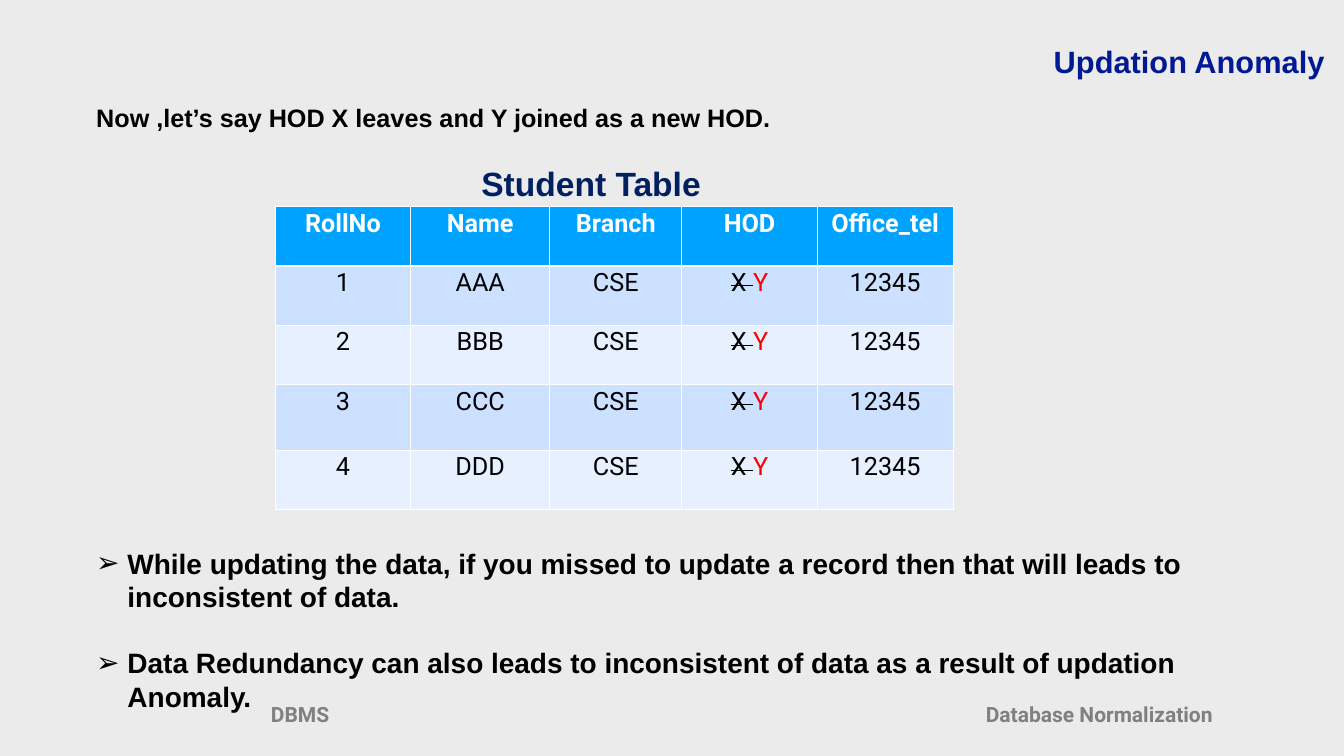
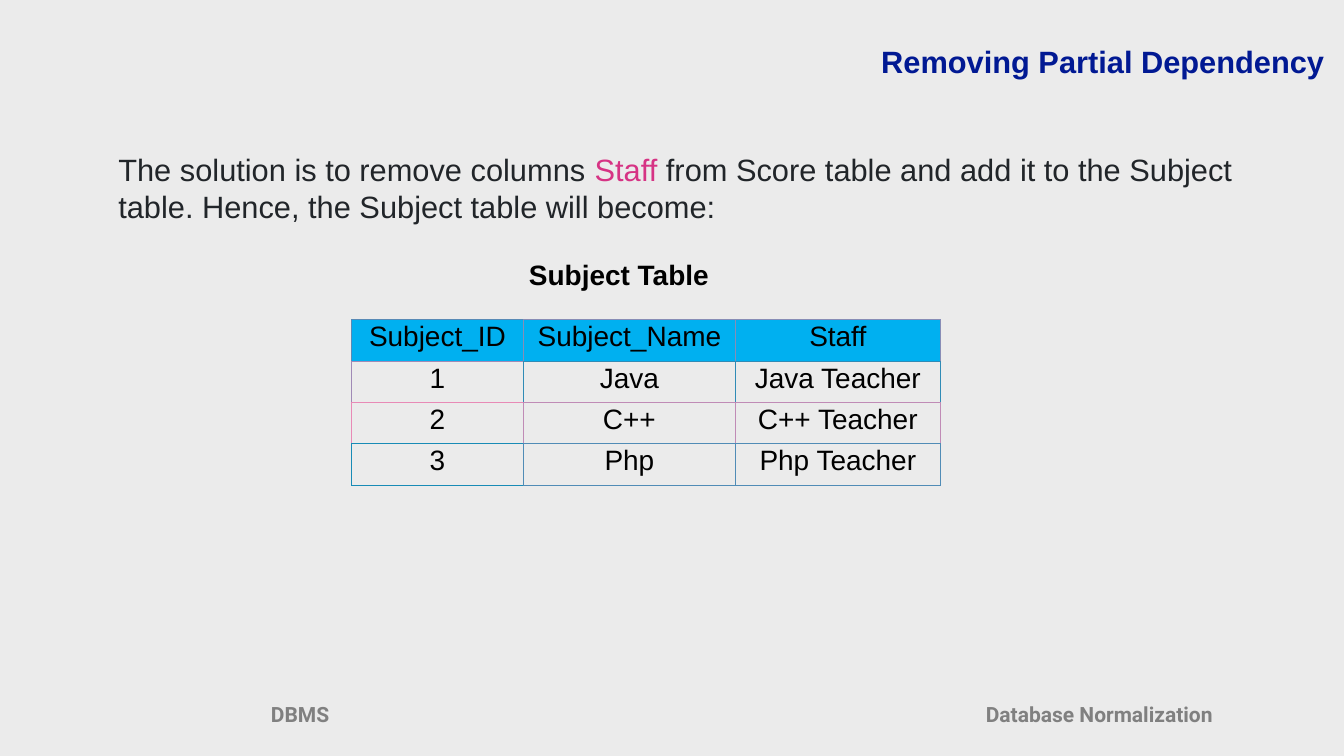
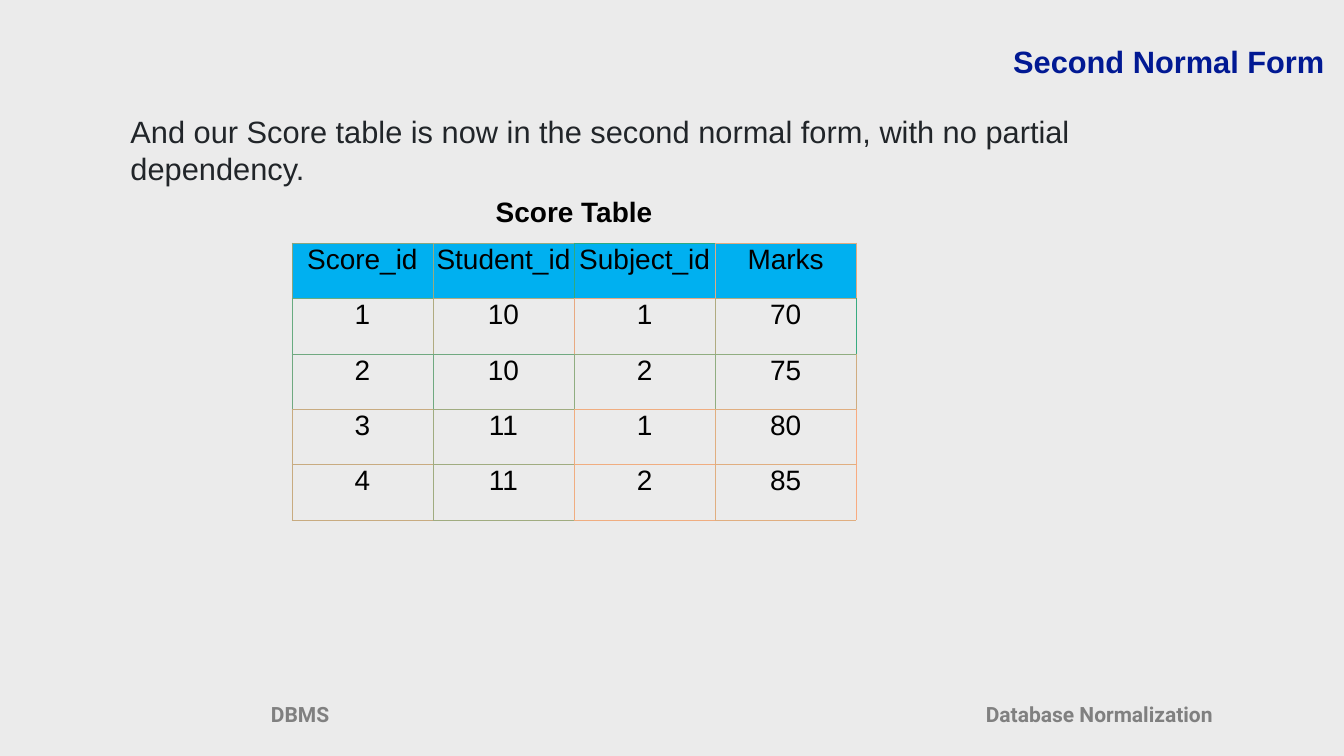
from lxml import etree
from pptx import Presentation
from pptx.dml.color import RGBColor
from pptx.enum.text import MSO_ANCHOR, PP_ALIGN
from pptx.oxml.ns import qn
from pptx.util import Inches, Pt

LEFT, CENTER, RIGHT = PP_ALIGN.LEFT, PP_ALIGN.CENTER, PP_ALIGN.RIGHT
TOP, MIDDLE = MSO_ANCHOR.TOP, MSO_ANCHOR.MIDDLE

BACKGROUND = RGBColor(0xEB, 0xEB, 0xEB)
BLACK = RGBColor(0x00, 0x00, 0x00)
WHITE = RGBColor(0xFF, 0xFF, 0xFF)
GRAY = RGBColor(0x80, 0x80, 0x80)
RED = RGBColor(0xFF, 0x00, 0x00)
PINK = RGBColor(0xD6, 0x33, 0x84)
TITLE_BLUE = RGBColor(0x01, 0x19, 0x93)
NAVY = RGBColor(0x00, 0x20, 0x60)
BODY_TEXT = RGBColor(0x21, 0x25, 0x29)
STUDENT_HEADER = RGBColor(0x00, 0xA2, 0xFF)
STUDENT_BANDS = (RGBColor(0xCC, 0xE0, 0xFF), RGBColor(0xE7, 0xF0, 0xFF))
HEADER_CYAN = RGBColor(0x00, 0xB0, 0xF0)


def color_grid(*lines):
    return [[RGBColor.from_string(code) for code in line.split()] for line in lines]


# One row per table row: the left and top edge of each cell, then the outer right edge.
SUBJECT_EDGES = color_grid(
    "588AB6 888DB6 888DB6 888DB6",
    "A08AB6 308BB6 308BB6 308BB6",
    "E88AB6 C08BB6 C08BB6 C08BB6",
    "188BB6 508CB6 508CB6 508CB6",
)
SCORE_EDGES = color_grid(
    "88A680 98AB80 30AA80 E0AB80 E0AB80",
    "68AB80 B0AB80 E8A980 B0AB80 38AB80",
    "70A980 70A980 90AD80 90AD80 D0AC80",
    *["C8AB80 A0AC80 F0AD80 E0AE80 F8AB80"] * 2,
)
STUDENT_EDGES = [[WHITE] * 6] * 5

BODY_FONT, TABLE_FONT = "Arial", "Roboto"
TITLE_BOX = (9.73, 0.78, 16.62, 0.85)
FOOTERS = (("DBMS", 2.72), ("Database Normalization", 18.58))


def write_text(text_frame, paragraphs, *, size, color=BLACK, font=BODY_FONT,
               bold=False, align=LEFT, bullet=None, indent=0, gap=0):
    """Each paragraph is a string or a list of (text, color, struck) runs."""
    for index, content in enumerate(paragraphs):
        paragraph = text_frame.paragraphs[0] if index == 0 else text_frame.add_paragraph()
        paragraph.alignment = align
        if index and gap:
            paragraph.space_before = Pt(gap)
        if bullet:
            properties = paragraph._p.get_or_add_pPr()
            properties.set("marL", str(Inches(indent)))
            properties.set("indent", str(-Inches(indent)))
            etree.SubElement(properties, qn("a:buFont")).set("typeface", font)
            etree.SubElement(properties, qn("a:buChar")).set("char", bullet)
        runs = [(content, color, False)] if isinstance(content, str) else content
        for text, run_color, struck in runs:
            run = paragraph.add_run()
            run.text = text
            run.font.name = font
            run.font.size = Pt(size)
            run.font.bold = bold
            run.font.color.rgb = run_color
            if struck:
                run._r.get_or_add_rPr().set("strike", "sngStrike")


def add_text(slide, box, *paragraphs, anchor=MIDDLE, insets=(0.06, 0.06), **text_format):
    shape = slide.shapes.add_textbox(*map(Inches, box))
    text_frame = shape.text_frame
    text_frame.word_wrap = True
    text_frame.vertical_anchor = anchor
    text_frame.margin_left = text_frame.margin_right = Inches(insets[0])
    text_frame.margin_top = text_frame.margin_bottom = Inches(insets[1])
    write_text(text_frame, paragraphs, **text_format)


def add_body(slide, box, *paragraphs):
    add_text(slide, box, *paragraphs, anchor=TOP, insets=(0.1, 0.05), size=44, color=BODY_TEXT)


def set_border(cell, side, color, width):
    line = etree.SubElement(cell._tc.get_or_add_tcPr(), qn(f"a:ln{side}"), w=str(Pt(width)))
    fill = etree.SubElement(line, qn("a:solidFill"))
    etree.SubElement(fill, qn("a:srgbClr"), val=str(color))


def add_table(slide, left, top, widths, heights, rows, edges, *, header_fill, bands=None,
              insets=(0.1, 0.05), line_width=0.75, header_line=0.75,
              header_color=BLACK, header_bold=False, **text_format):
    frame = slide.shapes.add_table(len(rows), len(widths), Inches(left), Inches(top),
                                   Inches(sum(widths)), Inches(sum(heights)))
    table = frame.table
    for column, width in zip(table.columns, widths):
        column.width = Inches(width)
    for table_row, height in zip(table.rows, heights):
        table_row.height = Inches(height)
    last = len(rows) - 1
    for i, row in enumerate(rows):
        for j, content in enumerate(row):
            cell = table.cell(i, j)
            cell.margin_left = cell.margin_right = Inches(insets[0])
            cell.margin_top = cell.margin_bottom = Inches(insets[1])
            top_width = header_line if i == 1 else line_width
            bottom_width = header_line if i == 0 else line_width
            set_border(cell, "L", edges[i][j], line_width)
            set_border(cell, "R", edges[i][j + 1], line_width)
            set_border(cell, "T", edges[i][j], top_width)
            set_border(cell, "B", edges[min(i + 1, last)][j], bottom_width)
            fill_color = header_fill if i == 0 else bands and bands[(i - 1) % len(bands)]
            if fill_color:
                cell.fill.solid()
                cell.fill.fore_color.rgb = fill_color
            else:
                cell.fill.background()
            write_text(cell.text_frame, [content], align=CENTER, bold=header_bold and i == 0,
                       color=header_color if i == 0 else BLACK, **text_format)


def add_base_slide(presentation, title):
    """Add a slide with the shared title and footers."""
    slide = presentation.slides.add_slide(presentation.slide_layouts[6])
    for text, left in FOOTERS:
        add_text(slide, (left, 13.86, 6.47, 0.62), text, size=30, color=GRAY,
                 font=TABLE_FONT, bold=True, align=CENTER)
    add_text(slide, TITLE_BOX, title, size=44, color=TITLE_BLUE, bold=True, align=RIGHT)
    return slide


def add_updation_slide(presentation):
    slide = add_base_slide(presentation, "Updation Anomaly")
    add_text(slide, (7.44, 3.17, 8.58, 0.92), "Student Table",
             size=48, color=NAVY, bold=True, align=CENTER)
    add_text(slide, (1.85, 10.75, 23.95, 3.48),
             "While updating the data, if you missed to update a record then that will leads to "
             "inconsistent of data.",
             "Data Redundancy can also leads to inconsistent of data as a result of updation "
             "Anomaly.",
             size=40, bold=True, bullet="➢", indent=0.62, gap=46)
    add_text(slide, (1.85, 1.96, 23.95, 0.72),
             "Now ,let’s say HOD X leaves and Y joined as a new HOD.", size=36, bold=True)
    replaced_head = [("X ", BLACK, True), ("Y", RED, False)]
    students = [[str(number), letter * 3, "CSE", replaced_head, "12345"]
                for number, letter in enumerate("ABCD", start=1)]
    add_table(slide, 5.46, 4.09, (2.69, 2.76, 2.62, 2.69, 2.69), (1.18, 1.18, 1.18, 1.3, 1.18),
              [["RollNo", "Name", "Branch", "HOD", "Office_tel"], *students], STUDENT_EDGES,
              header_fill=STUDENT_HEADER, bands=STUDENT_BANDS, line_width=1, header_line=3,
              header_color=WHITE, header_bold=True, size=36, font=TABLE_FONT)


def add_partial_dependency_slide(presentation):
    slide = add_base_slide(presentation, "Removing Partial Dependency")
    add_body(slide, (2.25, 2.94, 22.68, 1.58), [
        ("The solution is to remove columns ", BODY_TEXT, False),
        ("Staff", PINK, False),
        (" from Score table and add it to the Subject table. "
         "Hence, the Subject table will become:", BODY_TEXT, False),
    ])
    subjects = [[str(number), name, f"{name} Teacher"]
                for number, name in enumerate(("Java", "C++", "Php"), start=1)]
    add_table(slide, 6.97, 6.34, (3.42, 4.2, 4.07), [0.82] * 4,
              [["Subject_ID", "Subject_Name", "Staff"], *subjects], SUBJECT_EDGES,
              header_fill=HEADER_CYAN, insets=(0.09, 0.04), size=40)
    add_text(slide, (8.59, 5.04, 7.38, 0.79), "Subject Table", size=40, bold=True, align=CENTER)


def add_second_normal_form_slide(presentation):
    slide = add_base_slide(presentation, "Second Normal Form")
    add_body(slide, (2.49, 2.19, 21.4, 1.58),
             "And our Score table is now in the second normal form, with no partial dependency.")
    scores = [
        ["Score_id", "Student_id", "Subject_id", "Marks"],
        ["1", "10", "1", "70"],
        ["2", "10", "2", "75"],
        ["3", "11", "1", "80"],
        ["4", "11", "2", "85"],
    ]
    add_table(slide, 5.79, 4.82, [2.8] * 4, [1.1] * 5, scores, SCORE_EDGES,
              header_fill=HEADER_CYAN, insets=(0.05, 0.02), size=40)
    add_text(slide, (7.7, 3.79, 7.38, 0.79), "Score Table", size=40, bold=True, align=CENTER)


def main():
    presentation = Presentation()
    presentation.slide_width = Inches(26.67)
    presentation.slide_height = Inches(15)
    background = presentation.slide_master.background.fill
    background.solid()
    background.fore_color.rgb = BACKGROUND
    add_updation_slide(presentation)
    add_partial_dependency_slide(presentation)
    add_second_normal_form_slide(presentation)
    presentation.save("out.pptx")


if __name__ == "__main__":
    main()
